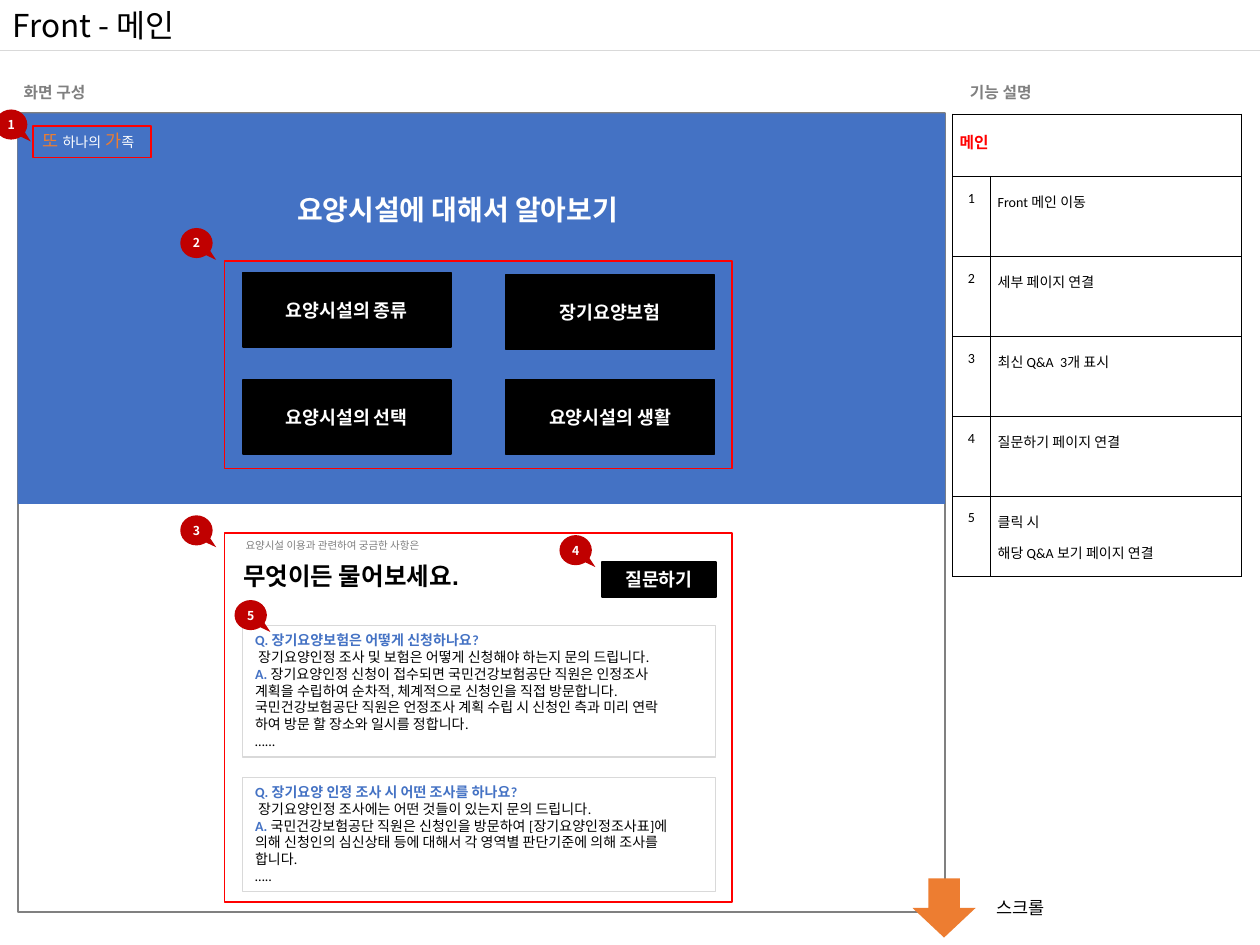
"""Build the annotated wireframe slide of the main page."""
from lxml.etree import SubElement
from pptx import Presentation
from pptx.dml.color import RGBColor
from pptx.enum.shapes import MSO_CONNECTOR, MSO_SHAPE as SHAPE
from pptx.enum.text import MSO_ANCHOR as ANCHOR, MSO_AUTO_SIZE as AUTO, PP_ALIGN as ALIGN
from pptx.oxml.ns import qn
from pptx.util import Pt

rgb = RGBColor.from_string
KR = "Noto Sans CJK KR"
BLUE, ORANGE, RED, DARK_RED = "4472C4", "ED7D31", "FF0000", "C00000"
BLACK, WHITE, GRAY, LIGHT = "000000", "FFFFFF", "808080", "D9D9D9"


def box(kind, at, fill=None, line=None, width=1):
    sp = s.shapes.add_shape(kind, *map(Pt, at))
    sp.shadow.inherit = False
    if fill:
        sp.fill.solid()
        sp.fill.fore_color.rgb = rgb(fill)
    else:
        sp.fill.background()
    if line:
        sp.line.color.rgb = rgb(line)
        sp.line.width = Pt(width)
    else:
        sp.line.fill.background()
    return sp


def write(tf, paras, font, size, color, bold=False, align=ALIGN.LEFT, spacing=None, **frame):
    for name, value in frame.items():
        setattr(tf, name, value)
    for i, runs in enumerate(paras):
        p = tf.add_paragraph() if i else tf.paragraphs[0]
        p.alignment, p.line_spacing = align, spacing
        for text, changes in runs:
            fmt = {"size": size, "color": color, "bold": bold, **changes}
            r = p.add_run()
            r.text = text
            r.font.color.rgb = rgb(fmt.pop("color"))
            fmt["size"] = Pt(fmt["size"])
            for name, value in {"name": font, **fmt}.items():
                setattr(r.font, name, value)
            SubElement(r.font._element, qn("a:ea"), typeface=KR)


prs = Presentation()
prs.slide_width, prs.slide_height = Pt(720), Pt(540)
s = prs.slides.add_slide(prs.slide_layouts[5])

title = s.shapes.title
for name, value in zip(("left", "top", "width", "height"), (0, 0, 319, 28.8)):
    setattr(title, name, Pt(value))
write(title.text_frame, [[("Front - 메인", {})]], KR, 18, BLACK,
      vertical_anchor=ANCHOR.MIDDLE, auto_size=AUTO.NONE, word_wrap=True)

rule = s.shapes.add_connector(MSO_CONNECTOR.STRAIGHT, 0, Pt(29), Pt(720), Pt(29))
rule.line.color.rgb, rule.line.width = rgb(LIGHT), Pt(0.5)
SubElement(rule._element.spPr, qn("a:effectLst"))

box(SHAPE.RECTANGLE, (10.1, 64.8, 530, 456.5), WHITE, GRAY)
box(SHAPE.RECTANGLE, (10.1, 64.8, 530, 223.2), BLUE)

buttons = [
    ("요양시설의 종류", (138.7, 155.7, 119, 42.5)),
    ("장기요양보험", (288.9, 157, 119.5, 42.5)),
    ("요양시설의 선택", (138.7, 217, 119, 42.5)),
    ("요양시설의 생활", (288.9, 217, 119.5, 42.5)),
    ("질문하기", (344.2, 321.1, 64.8, 20.2)),
]
for text, at in buttons:
    write(box(SHAPE.RECTANGLE, at, BLACK, BLACK).text_frame, [[(text, {})]], "Arial", 10.5,
          WHITE, True, ALIGN.CENTER, vertical_anchor=ANCHOR.MIDDLE, word_wrap=True)

cards = [
    ((138.7, 357.6, 270, 75), "Q. 장기요양보험은 어떻게 신청하나요?",
     " 장기요양인정 조사 및 보험은 어떻게 신청해야 하는지 문의 드립니다.",
     ["장기요양인정 신청이 접수되면 국민건강보험공단 직원은 인정조사",
      "계획을 수립하여 순차적, 체계적으로 신청인을 직접 방문합니다.",
      "국민건강보험공단 직원은 언정조사 계획 수립 시 신청인 측과 미리 연락",
      "하여 방문 할 장소와 일시를 정합니다.", "…..."]),
    ((138.7, 444.3, 270, 65.3), "Q. 장기요양 인정 조사 시 어떤 조사를 하나요?",
     " 장기요양인정 조사에는 어떤 것들이 있는지 문의 드립니다.",
     ["국민건강보험공단 직원은 신청인을 방문하여 [장기요양인정조사표]에",
      "의해 신청인의 심신상태 등에 대해서 각 영역별 판단기준에 의해 조사를",
      "합니다.", "….."]),
]
mark = {"color": BLUE, "bold": True}
for at, question, detail, (first, *rest) in cards:
    paras = [[(question, mark)], [(detail, {})], [("A. ", mark), (first, {})]]
    paras += [[(text, {})] for text in rest]
    write(box(SHAPE.RECTANGLE, at, None, LIGHT, 0.75).text_frame, paras, "Calibri", 8, BLACK,
          vertical_anchor=ANCHOR.TOP, word_wrap=True)

accent, small = {"color": ORANGE}, {"size": 8}
labels = [
    ((131.8, 316.8, 150.5, 24.5), [("무엇이든 물어보세요.", {})], "Arial", 14, BLACK, True),
    ((162.7, 106.6, 219.6, 26.6), [("요양시설에 대해서 알아보기", {})], "Arial", 16, WHITE, True),
    ((6.5, 43.9, 52.6, 18), [("화면 구성", {})], "Calibri", 9, GRAY, True),
    ((547.2, 43.9, 52.6, 18), [("기능 설명", {})], "Calibri", 9, GRAY, True),
    ((17.3, 70.6, 69.1, 19.4), [("또 ", accent), ("하나의", small), (" ", {}), ("가", accent),
                                ("족", small)], KR, 10, WHITE, False),
    ((133.2, 304.6, 126, 14.4), [("요양시설 이용과 관련하여 궁금한 사항은", {})],
     "Arial", 6, GRAY, False),
    ((562.3, 509, 44.6, 19.4), [("스크롤", {})], "Calibri", 10, BLACK, False),
]
for at, runs, *style in labels:
    tb = s.shapes.add_textbox(*map(Pt, at))
    write(tb.text_frame, [runs], *style, word_wrap=False, auto_size=AUTO.SHAPE_TO_FIT_TEXT)

notes = [["Front 메인 이동"], ["세부 페이지 연결"], ["최신 Q&A  3개 표시"],
         ["질문하기 페이지 연결"], ["클릭 시", "해당 Q&A 보기 페이지 연결"]]
tbl = s.shapes.add_table(6, 2, Pt(544.3), Pt(65.1), Pt(165.1), Pt(264.1)).table
tbl.first_row = tbl.horz_banding = False
tbl.columns[0].width, tbl.columns[1].width = Pt(21.7), Pt(143.4)
for i, row in enumerate(tbl.rows):
    row.height = Pt(45.72 if i else 35.5)
tbl.cell(0, 0).merge(tbl.cell(0, 1))
for cell in tbl.iter_cells():
    for name, value in zip(("left", "top", "right", "bottom"), (4.1, 2.9, 4.1, 2.9)):
        setattr(cell, f"margin_{name}", Pt(value))
    tcPr = cell._tc.get_or_add_tcPr()
    for side in "LRTB":
        ln = SubElement(tcPr, qn(f"a:ln{side}"), w=str(Pt(0.25)))
        SubElement(SubElement(ln, qn("a:solidFill")), qn("a:srgbClr"), val=BLACK)
    cell.fill.solid()
    cell.fill.fore_color.rgb = rgb(WHITE)
write(tbl.cell(0, 0).text_frame, [[("메인", {})]], "Calibri", 9, RED, True, spacing=1.5)
for i, lines in enumerate(notes, 1):
    write(tbl.cell(i, 0).text_frame, [[(str(i), {})]], "Calibri", 8, BLACK,
          align=ALIGN.CENTER, spacing=1.5)
    write(tbl.cell(i, 1).text_frame, [[(text, {})] for text in lines], "Calibri", 8, BLACK,
          spacing=1.5)

box(SHAPE.DOWN_ARROW, (521.5, 502, 36, 33.8), ORANGE)
for at in [(128.2, 149, 290, 118.7), (18.7, 72, 67.7, 18), (128.2, 304.4, 290, 211)]:
    box(SHAPE.RECTANGLE, at, None, RED)

spots = [(-2.9, 62.6), (103, 130.3), (103, 294.5), (319.7, 305.8), (134, 342.9)]
for i, (x, y) in enumerate(spots, 1):
    sp = box(SHAPE.OVAL_CALLOUT, (x, y, 18.5, 17.2), DARK_RED)
    sp.adjustments[0], sp.adjustments[1] = 0.61, 0.56
    write(sp.text_frame, [[(str(i), {})]], KR, 7, WHITE, True, ALIGN.CENTER,
          vertical_anchor=ANCHOR.MIDDLE, margin_left=0, margin_right=0, margin_top=0,
          margin_bottom=0)

prs.save("out.pptx")
